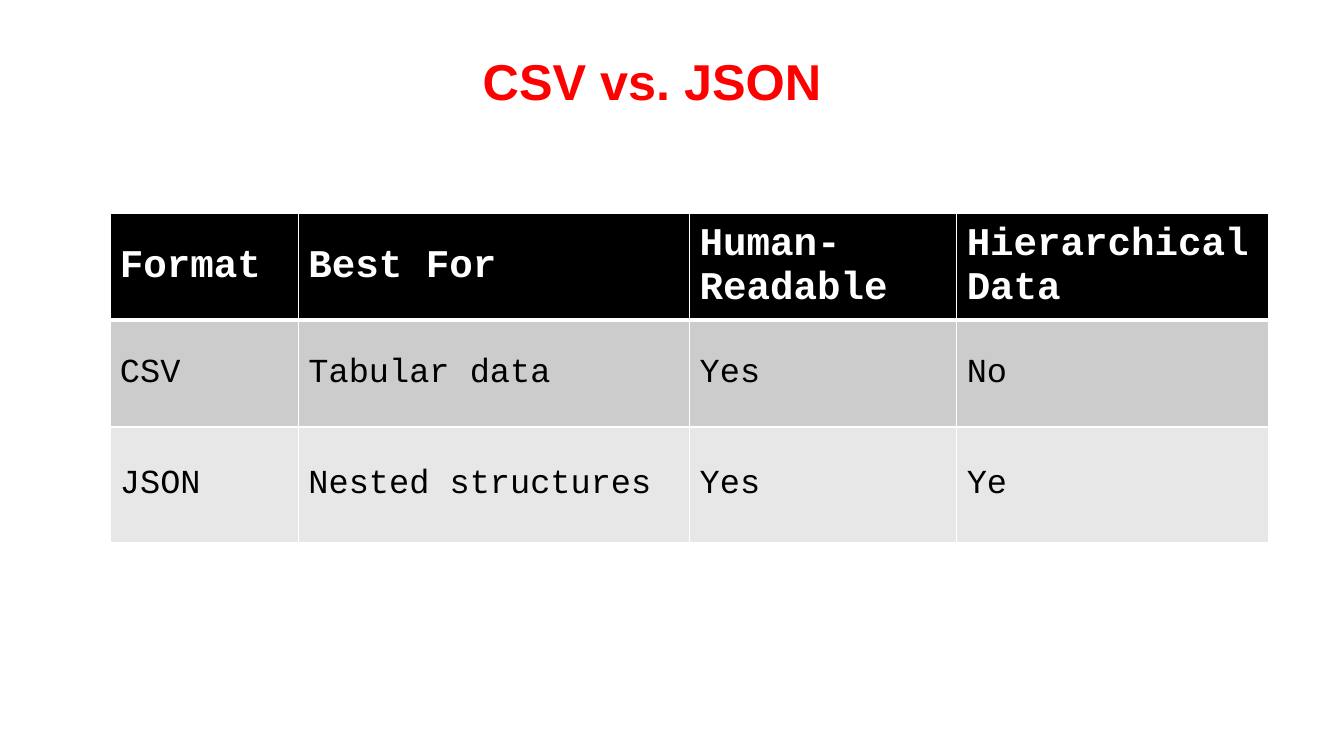
import pptx
import pptx.dml.color
import pptx.enum.text
import pptx.oxml
import pptx.oxml.ns
import pptx.util

Cm = pptx.util.Cm
Pt = pptx.util.Pt
RGBColor = pptx.dml.color.RGBColor
MIDDLE = pptx.enum.text.MSO_ANCHOR.MIDDLE
CENTER = pptx.enum.text.PP_ALIGN.CENTER
LEFT = pptx.enum.text.PP_ALIGN.LEFT

RED = RGBColor(0xFF, 0x00, 0x00)
BLACK = RGBColor(0x00, 0x00, 0x00)
WHITE = RGBColor(0xFF, 0xFF, 0xFF)
GRAY = RGBColor(0xCC, 0xCC, 0xCC)
LIGHT_GRAY = RGBColor(0xE7, 0xE7, 0xE7)

COLUMN_WIDTHS = [4.75, 9.86, 6.73, 7.87]
ROW_HEIGHTS = [2.69, 2.69, 2.9]
ROW_FILLS = [BLACK, GRAY, LIGHT_GRAY]
FORMATS = [
    ["Format", "Best For", "Human-Readable", "Hierarchical Data"],
    ["CSV", "Tabular data", "Yes", "No"],
    ["JSON", "Nested structures", "Yes", "Ye"],
]


def write_text(text_frame, text, *, font, size, color, bold=False,
               align=LEFT, line_spacing=1.0):
    text_frame.word_wrap = True
    paragraph = text_frame.paragraphs[0]
    paragraph.alignment = align
    paragraph.line_spacing = line_spacing
    run = paragraph.add_run()
    run.text = text
    run.font.name = font
    run.font.size = Pt(size)
    run.font.bold = bold
    run.font.color.rgb = color


def set_borders(cell, color, widths):
    """Draw the cell's borders; widths holds points by side (L, R, T, B)."""
    properties = cell._tc.get_or_add_tcPr()
    for index, (side, width) in enumerate(widths.items()):
        border = pptx.oxml.parse_xml(
            f'<a:ln{side} {pptx.oxml.ns.nsdecls("a")} w="{Pt(width)}">'
            f'<a:solidFill><a:srgbClr val="{color}"/></a:solidFill>'
            f'</a:ln{side}>')
        properties.insert(index, border)


def add_title(slide, text):
    title = slide.shapes.add_textbox(Cm(1.83), Cm(0.74), Cm(29.21), Cm(2.79))
    title.text_frame.vertical_anchor = MIDDLE
    write_text(title.text_frame, text, font="Arial", size=36, color=RED,
               bold=True, align=CENTER, line_spacing=0.9)


def add_format_table(slide):
    table = slide.shapes.add_table(
        len(FORMATS), len(COLUMN_WIDTHS), Cm(2.77), Cm(5.38),
        Cm(sum(COLUMN_WIDTHS)), Cm(sum(ROW_HEIGHTS))).table
    for column, width in zip(table.columns, COLUMN_WIDTHS):
        column.width = Cm(width)
    for row_index, (row, height) in enumerate(zip(table.rows, ROW_HEIGHTS)):
        row.height = Cm(height)
        is_header = row_index == 0
        widths = {"L": 1, "R": 1, "T": 3 if row_index == 1 else 1,
                  "B": 3 if is_header else 1}
        for cell, text in zip(row.cells, FORMATS[row_index]):
            cell.vertical_anchor = MIDDLE
            cell.fill.solid()
            cell.fill.fore_color.rgb = ROW_FILLS[row_index]
            set_borders(cell, WHITE, widths)
            write_text(cell.text_frame, text, font="Courier New",
                       size=28 if is_header else 24,
                       color=WHITE if is_header else BLACK, bold=is_header)


def main():
    presentation = pptx.Presentation()
    presentation.slide_width = Cm(33.87)
    presentation.slide_height = Cm(19.05)
    slide = presentation.slides.add_slide(presentation.slide_layouts[6])
    add_title(slide, "CSV vs. JSON")
    add_format_table(slide)
    presentation.save("out.pptx")


if __name__ == "__main__":
    main()
